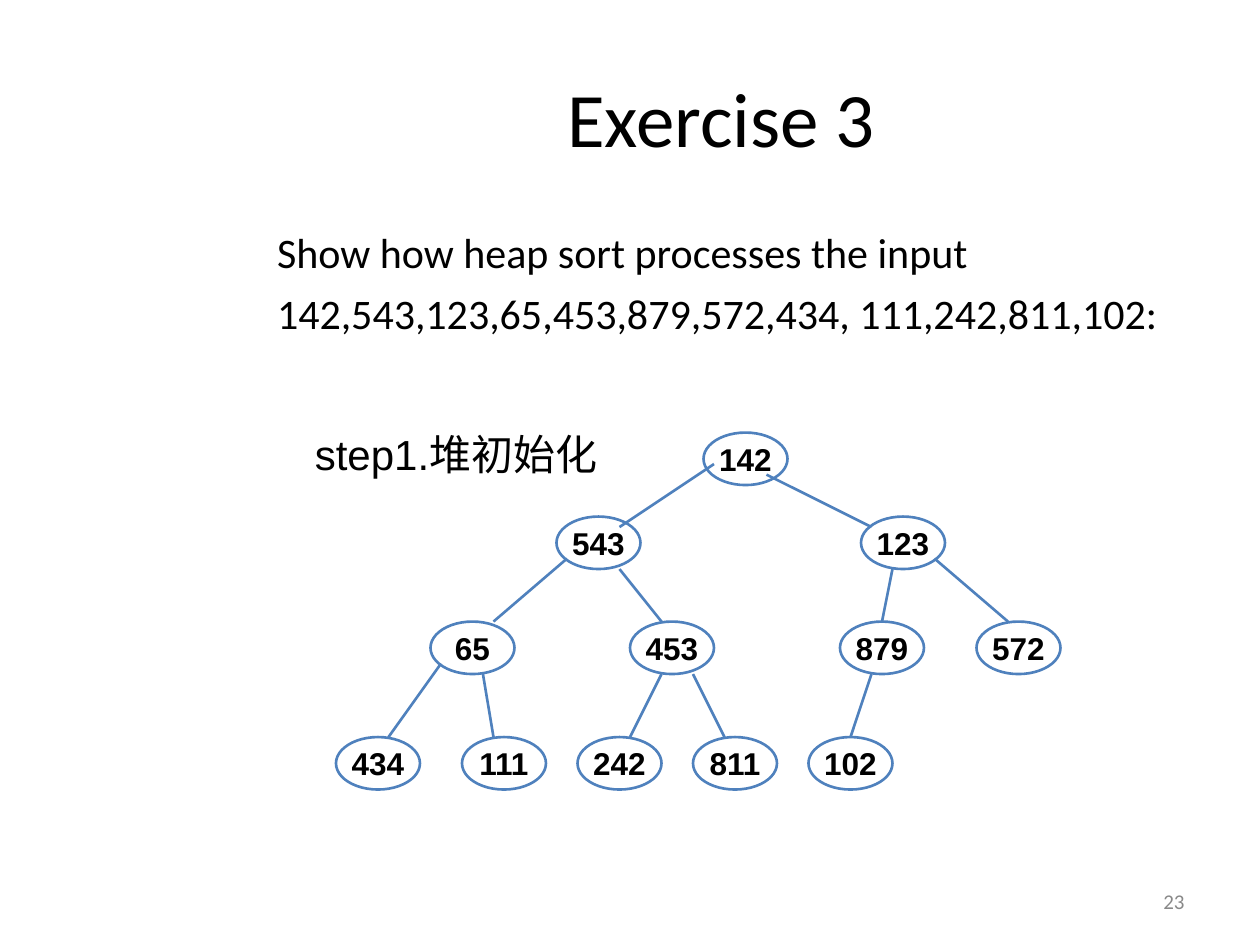
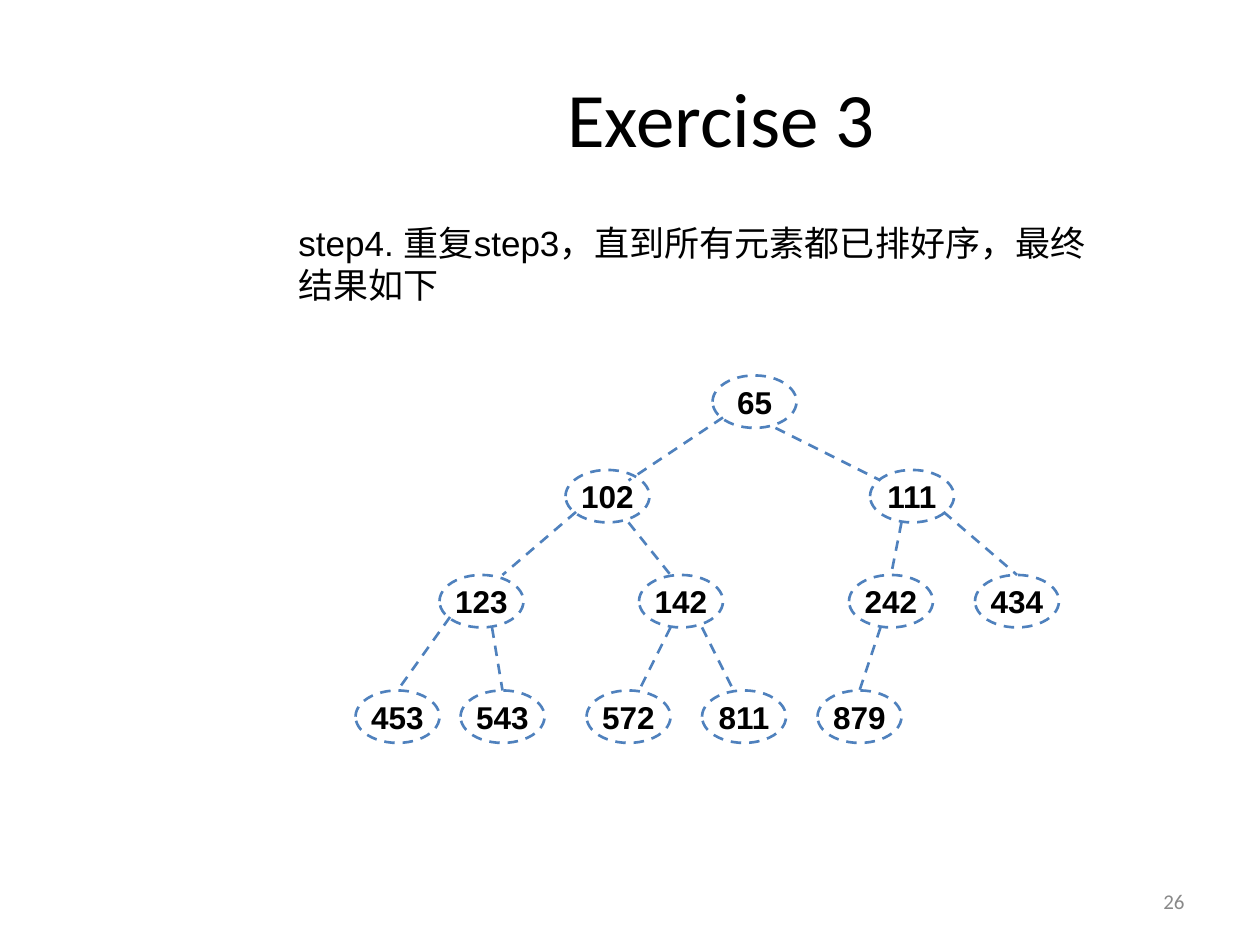
import lxml.etree
import pptx
import pptx.dml.color
import pptx.enum.dml
import pptx.enum.shapes
import pptx.enum.text
import pptx.oxml.ns
import pptx.util

COLUMNS, ROWS = 120, 90
CELL = pptx.util.Inches(10) // COLUMNS
BLACK, GREY, BLUE, WHITE = "000000", "898989", "4F81BD", "FFFFFF"
HEADING_FONT, LABEL_FONT = "Calibri", "Arial"
SOLID = pptx.enum.dml.MSO_LINE.SOLID
DASHED = pptx.enum.dml.MSO_LINE.DASH
LEFT = pptx.enum.text.PP_ALIGN.LEFT
CENTER = pptx.enum.text.PP_ALIGN.CENTER
RIGHT = pptx.enum.text.PP_ALIGN.RIGHT
TOP = pptx.enum.text.MSO_ANCHOR.TOP
MIDDLE = pptx.enum.text.MSO_ANCHOR.MIDDLE

NODE_WIDTH, NODE_HEIGHT = 8, 5
LEVEL_SIZES = (1, 2, 4, 5)
# Each link: child index, start column, rows above the child, end column, rows into the child.
LINKS = (
    (1, 68, 5, 59, 1), (2, 73, 4, 83, 1),
    (3, 54, 6, 47, 0), (4, 59, 5, 63, 0), (5, 85, 5, 84, 0), (6, 89, 6, 96, 0),
    (7, 42, 7, 37, 0), (8, 46, 6, 47, 0), (9, 63, 6, 60, 0), (10, 66, 6, 69, 0),
    (11, 83, 6, 81, 0),
)


def color(hex_code):
    """Turn a hex string into a colour."""
    return pptx.dml.color.RGBColor.from_string(hex_code)


def cells(*counts):
    """Turn counts of grid cells into lengths."""
    return [pptx.util.Emu(round(count * CELL)) for count in counts]


def write(frame, lines, size, font, ink=BLACK, align=LEFT, anchor=TOP, bold=False, wrap=True):
    """Fill a text frame with one paragraph per line."""
    frame.word_wrap = wrap
    frame.vertical_anchor = anchor
    for index, line in enumerate(lines):
        paragraph = frame.add_paragraph() if index else frame.paragraphs[0]
        paragraph.alignment = align
        if index:
            paragraph.space_before = pptx.util.Pt(6)
        run = paragraph.add_run()
        run.text = line
        run.font.size = pptx.util.Pt(size)
        run.font.name = font
        run.font.bold = bold
        run.font.color.rgb = color(ink)


def add_text(slide, area, lines, size, font, **style):
    """Add a text box over an area of the grid."""
    write(slide.shapes.add_textbox(*cells(*area)).text_frame, lines, size, font, **style)


def style_line(line, dash):
    """Give an outline or link the tree's stroke."""
    line.color.rgb = color(BLUE)
    line.width = pptx.util.Pt(1.5)
    line.dash_style = dash


def add_node(slide, column, row, key, dash):
    """Add one heap node with its key."""
    node = slide.shapes.add_shape(
        pptx.enum.shapes.MSO_SHAPE.OVAL, *cells(column, row, NODE_WIDTH, NODE_HEIGHT))
    node.shadow.inherit = False
    node.fill.solid()
    node.fill.fore_color.rgb = color(WHITE)
    style_line(node.line, dash)
    write(node.text_frame, [str(key)], 18, LABEL_FONT,
          align=CENTER, anchor=MIDDLE, bold=True, wrap=False)


def add_link(slide, start, end, dash):
    """Add a straight link between two grid points."""
    link = slide.shapes.add_connector(
        pptx.enum.shapes.MSO_CONNECTOR.STRAIGHT, *cells(*start, *end))
    style_line(link.line, dash)
    properties = link._element.find(pptx.oxml.ns.qn("p:spPr"))
    lxml.etree.SubElement(properties, pptx.oxml.ns.qn("a:effectLst"))


def add_heap(slide, keys, columns, level_rows, shift, dash):
    """Add a heap whose keys are listed level by level."""
    node_rows = [row for row, size in zip(level_rows, LEVEL_SIZES) for _ in range(size)]
    for key, column, row in zip(keys, columns, node_rows):
        add_node(slide, column + shift, row, key, dash)
    for child, start_column, rise, end_column, dip in LINKS:
        row = node_rows[child]
        add_link(slide, (start_column + shift, row - rise),
                 (end_column + shift, row + dip), dash)


def add_exercise_slide(deck, number):
    """Add a slide with the shared title and page number."""
    slide = deck.slides.add_slide(deck.slide_layouts[6])
    add_text(slide, (23.4, 3.6, 90.6, 15), ["Exercise 3"], 44, HEADING_FONT,
             align=CENTER, anchor=MIDDLE)
    add_text(slide, (86.04, 83.4, 27.96, 4.8), [str(number)], 12, HEADING_FONT,
             ink=GREY, align=RIGHT, anchor=MIDDLE)
    return slide


def main():
    """Build the heap sort exercise."""
    deck = pptx.Presentation()
    deck.slide_width, deck.slide_height = cells(COLUMNS, ROWS)

    initial = add_exercise_slide(deck, 23)
    add_text(initial, (25.2, 21, 90.6, 16.92),
             ["Show how heap sort processes the input",
              "142,543,123,65,453,879,572,434, 111,242,811,102:"], 24, HEADING_FONT)
    add_text(initial, (28.8, 40.2, 30.24, 6), ["step1.堆初始化"], 24, LABEL_FONT, wrap=False)
    add_heap(initial, (142, 543, 123, 65, 453, 879, 572, 434, 111, 242, 811, 102),
             (67, 53, 82, 41, 60, 80, 93, 32, 44, 55, 66, 77),
             (41.2, 49.2, 59.2, 70.2), 0, SOLID)

    final = add_exercise_slide(deck, 26)
    add_heap(final, (65, 102, 111, 123, 142, 242, 434, 453, 543, 572, 811, 879),
             (67, 53, 82, 41, 60, 80, 92, 33, 43, 55, 66, 77),
             (35.76, 44.76, 54.76, 65.76), 0.86, DASHED)
    add_text(final, (27.24, 20.52, 78.36, 9.24),
             ["step4. 重复step3，直到所有元素都已排好序，最终结果如下"], 20, LABEL_FONT)

    deck.save("out.pptx")


if __name__ == "__main__":
    main()
